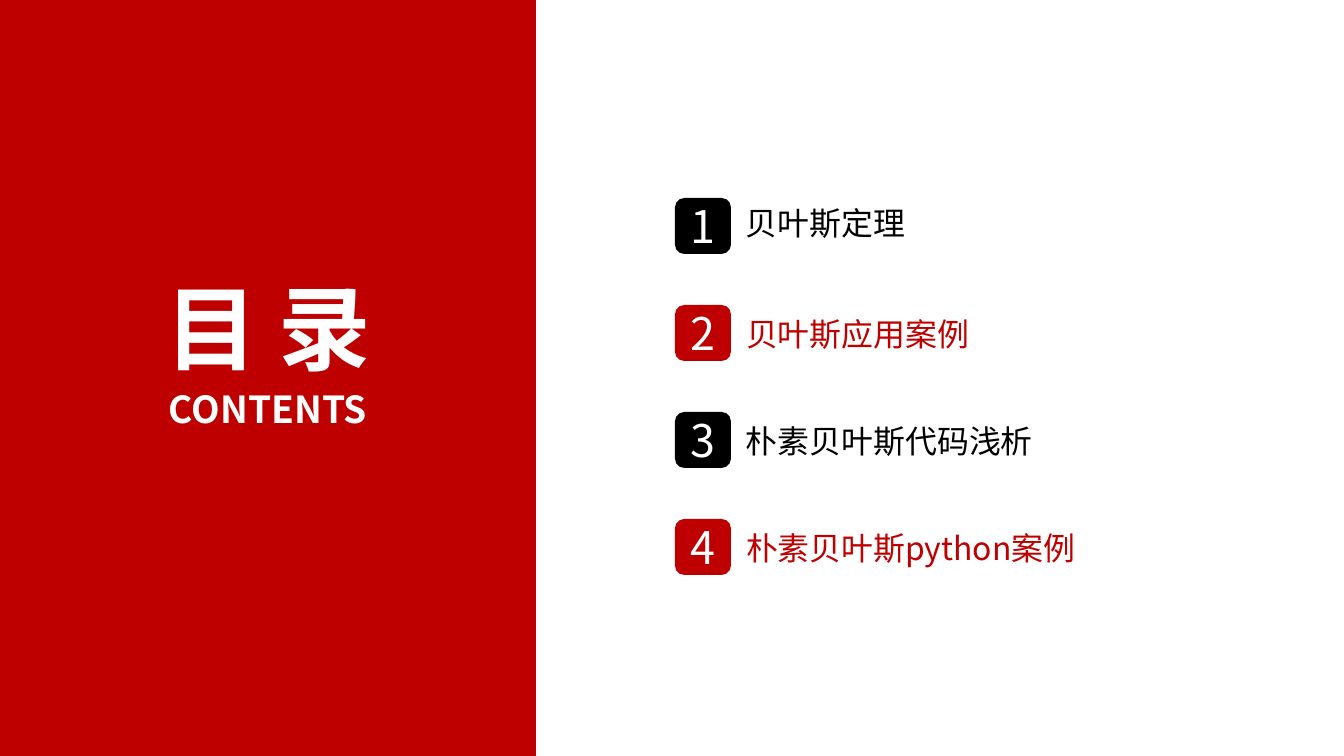
from lxml import etree
from pptx import Presentation, util as u
from pptx.dml.color import RGBColor
from pptx.enum import shapes, text
from pptx.oxml.ns import qn

RED = RGBColor(0xBF, 0x00, 0x00)
BLACK = RGBColor(0, 0, 0)
WHITE = RGBColor(255, 255, 255)
FONT = "Noto Sans CJK SC"

# Content: chapter, label width, label top relative to its badge
CHAPTERS = [
    ("贝叶斯定理", 271, 6),
    ("贝叶斯应用案例", 226, 10),
    ("朴素贝叶斯代码浅析", 317, 10),
    ("朴素贝叶斯python案例", 340, 10),
]
# Heading: wording, box, size
HEADINGS = [
    ("目 录", (162, 271, 212, 112), 69.6),
    ("CONTENTS", (163, 386, 210, 45), 28),
]

# Layout in pixels
SLIDE_W, SLIDE_H = 1344, 756
PANEL_W = 536
BADGE_X, BADGE_Y, BADGE, PITCH = 675, 198, 56, 107
LABEL_X, LABEL_H = 746, 38


def px(n):
    return u.Emu(round(n * 914400 / 95.6))


deck = Presentation()
deck.slide_width, deck.slide_height = px(SLIDE_W), px(SLIDE_H)
slide = deck.slides.add_slide(deck.slide_layouts[6])


def add_block(kind, box, fill):
    block = slide.shapes.add_shape(kind, *map(px, box))
    block.shadow.inherit = False
    block.fill.solid()
    block.fill.fore_color.rgb = fill
    block.line.fill.background()
    return block


def write(frame, wording, size, color, bold=False, align=text.PP_ALIGN.CENTER,
          anchor=text.MSO_ANCHOR.MIDDLE, wrap=True):
    frame.word_wrap = wrap
    frame.vertical_anchor = anchor
    line = frame.paragraphs[0]
    line.alignment = align
    run = line.add_run()
    run.text = wording
    run.font.size = u.Pt(size)
    run.font.bold = bold
    run.font.color.rgb = color
    run.font.name = FONT
    etree.SubElement(run.font._element, qn("a:ea"), typeface=FONT)


def add_label(box, wording, size, color, **style):
    frame = slide.shapes.add_textbox(*map(px, box)).text_frame
    frame.margin_left = frame.margin_right = 0
    frame.margin_top = frame.margin_bottom = 0
    frame.auto_size = text.MSO_AUTO_SIZE.SHAPE_TO_FIT_TEXT
    write(frame, wording, size, color, **style)


# Left panel with heading
add_block(shapes.MSO_SHAPE.RECTANGLE, (0, 0, PANEL_W, SLIDE_H), RED)
for wording, box, size in HEADINGS:
    add_label(box, wording, size, WHITE, bold=True,
              anchor=text.MSO_ANCHOR.TOP, wrap=False)

# Numbered chapters in alternating colours
for i, (chapter, width, drop) in enumerate(CHAPTERS):
    top = BADGE_Y + i * PITCH
    color = RED if i % 2 else BLACK
    badge = add_block(shapes.MSO_SHAPE.ROUNDED_RECTANGLE,
                      (BADGE_X, top, BADGE, BADGE), color)
    write(badge.text_frame, str(i + 1), 33.8, WHITE)
    add_label((LABEL_X, top + drop, width, LABEL_H), chapter, 24, color,
              align=text.PP_ALIGN.LEFT)

deck.save("out.pptx")
